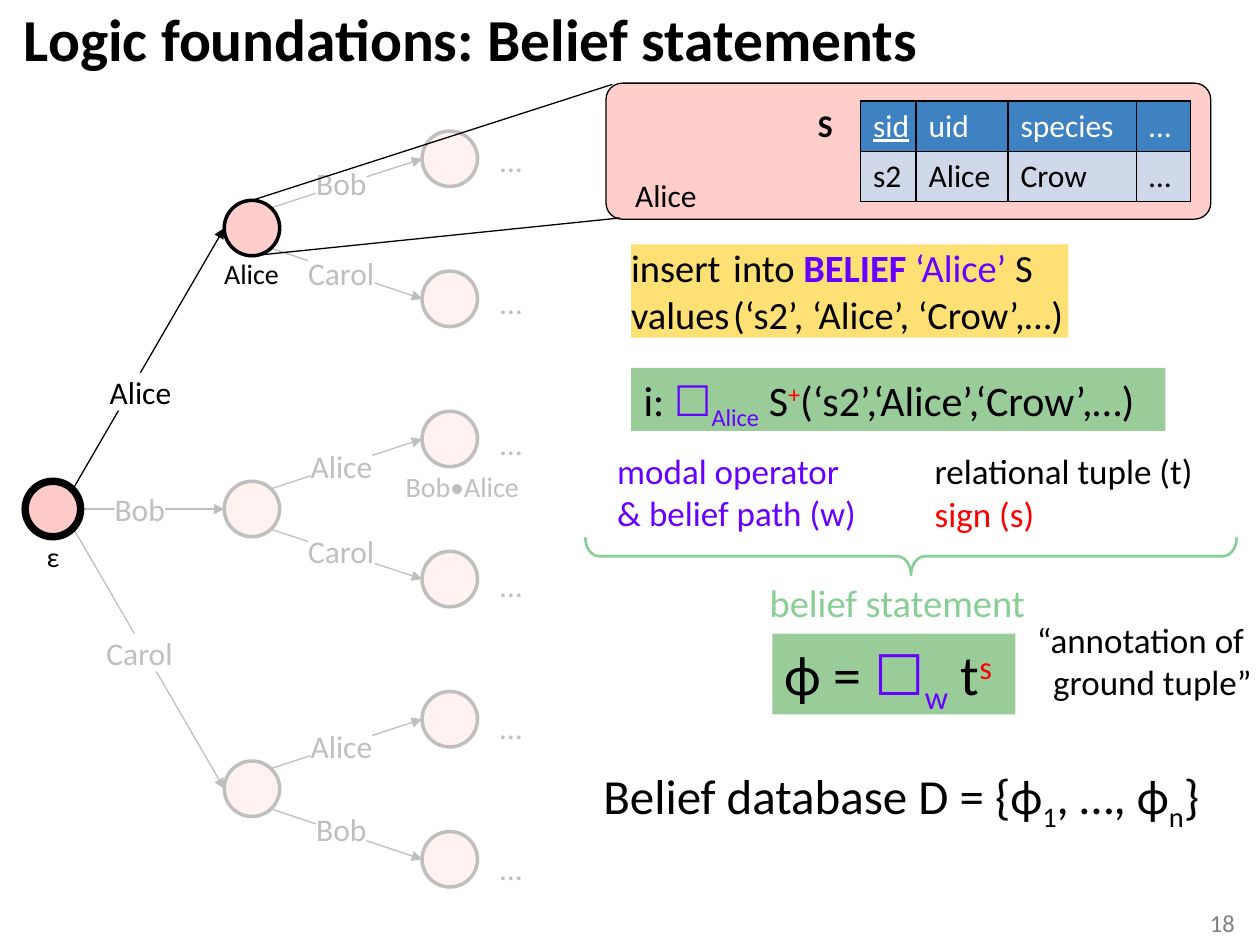
from lxml import etree
from pptx import Presentation
from pptx.dml.color import RGBColor
from pptx.enum import shapes, text
from pptx.oxml import ns
from pptx.util import Inches, Pt

HUES = {
    "black": "000000", "white": "FFFFFF", "gray": "7F7F7F", "pink": "FFCDCA",
    "root": "FFCBC9", "gold": "FFE074", "green": "99CC99", "mint": "88CF95",
    "violet": "6600FF", "red": "FF0000", "head": "3F82C1", "body": "CED8E9",
}
FORM = shapes.MSO_SHAPE
NONE = (0, 0, 0, 0)
LEAD = (0.1, 0.05, 0, 0)
FULL = (0.1, 0.05, 0.1, 0.05)


def hue(name):
    return RGBColor.from_string(HUES[name])


def sub(node, tag, **attrs):
    return etree.SubElement(node, ns.qn(tag), attrs)


class Deck:
    """Holds the style and the current slide."""

    def __init__(self, slide, face="Calibri"):
        self.items = slide.shapes
        self.face = face

    def words(self, frame, lines, size, color="black", bold=False, tab=None):
        """Each line is a string or a list of (words, options) runs."""
        for i, line in enumerate(lines):
            para = frame.paragraphs[0] if i == 0 else frame.add_paragraph()
            para.alignment = text.PP_ALIGN.LEFT
            font = para.font
            font.name, font.size, font.bold = self.face, Pt(size), bold
            font.color.rgb = hue(color)
            if tab:
                stops = etree.Element(ns.qn("a:tabLst"))
                sub(stops, "a:tab", pos=str(Inches(tab)), algn="l")
                font._element.addprevious(stops)
            for part, opts in [(line, {})] if isinstance(line, str) else line:
                run = para.add_run()
                run.text = part
                if "color" in opts:
                    run.font.color.rgb = hue(opts["color"])
                if "bold" in opts:
                    run.font.bold = opts["bold"]
                if "line" in opts:
                    run.font.underline = opts["line"]
                if "base" in opts:
                    run.font._element.set("baseline", str(opts["base"] * 1000))

    def label(self, x, y, w, h, lines, size, fill=None, pad=NONE, **style):
        box = self.items.add_textbox(*map(Inches, (x, y, w, h)))
        if fill:
            box.fill.solid()
            box.fill.fore_color.rgb = hue(fill)
        frame = box.text_frame
        frame.word_wrap = False
        frame.auto_size = text.MSO_AUTO_SIZE.SHAPE_TO_FIT_TEXT
        (frame.margin_left, frame.margin_top,
         frame.margin_right, frame.margin_bottom) = map(Inches, pad)
        self.words(frame, lines, size, **style)
        return box

    def shape(self, form, x, y, w, h, fill, line=None, width=0.75, adj=()):
        item = self.items.add_shape(form, *map(Inches, (x, y, w, h)))
        item.shadow.inherit = False
        item.fill.solid()
        item.fill.fore_color.rgb = hue(fill)
        if line:
            item.line.color.rgb = hue(line)
            item.line.width = Pt(width)
        else:
            item.line.fill.background()
        for i, value in enumerate(adj):
            item.adjustments[i] = value
        return item

    def node(self, x, y, fill="pink", width=2):
        self.shape(FORM.OVAL, x, y, 0.44, 0.44, fill, "black", width)

    def line(self, x, y, to_x, to_y, arrow=True):
        link = self.items.add_connector(
            shapes.MSO_CONNECTOR.STRAIGHT, *map(Inches, (x, y, to_x, to_y)))
        link.line.color.rgb = hue("black")
        link.line.width = Pt(0.75)
        if arrow:
            sub(link.line._get_or_add_ln(), "a:tailEnd", type="triangle")
        sub(link._element.spPr, "a:effectLst")

    def table(self, x, y, cols, high, rows):
        item = self.items.add_table(
            len(rows), len(cols), Inches(x), Inches(y),
            Inches(sum(cols)), Inches(high * len(rows)))
        grid = item.table
        grid.first_row = grid.horz_banding = False
        for col, w in zip(grid.columns, cols):
            col.width = Inches(w)
        for r, row in enumerate(rows):
            grid.rows[r].height = Inches(high)
            for c, entry in enumerate(row):
                self.cell(grid.cell(r, c), entry, r == 0, c == 0)

    def cell(self, cell, entry, head, side):
        cell.vertical_anchor = text.MSO_ANCHOR.BOTTOM
        cell.margin_left, cell.margin_right = Inches(0.1), 0
        cell.margin_top = cell.margin_bottom = Inches(0.05)
        # Only the right edge shows in the side column
        props = cell._tc.get_or_add_tcPr()
        for edge in "LRTB":
            rule = sub(props, "a:ln" + edge, w=str(Pt(1)))
            if side and edge != "R":
                sub(rule, "a:noFill")
            else:
                sub(sub(rule, "a:solidFill"), "a:srgbClr", val=HUES["black"])
        if side:
            cell.fill.background()
        else:
            cell.fill.solid()
            cell.fill.fore_color.rgb = hue("head" if head else "body")
        color = "white" if head and not side else "black"
        self.words(cell.text_frame, [entry], 18, color, bold=side)


def tree(deck):
    # Faded part: root edges, inner nodes and leaves
    deck.label(3.22, 3.73, 0.9, 0.27, ["Bob•Alice"], 16)
    wide = {"Alice": 0.49, "Bob": 0.4, "Carol": 0.53}
    tops = [1.59, 3.82, 6.04]
    deck.line(0.64, 4.04, 1.78, 4.04)
    deck.line(0.58, 4.19, 1.78, 6.26)
    for top in tops[1:]:
        deck.node(1.78, top)
    leaves = [("Bob", 1.3), ("Carol", 2.02), ("Alice", 3.55),
              ("Carol", 4.22), ("Alice", 5.77), ("Bob", 6.43)]
    for i, (name, y) in enumerate(leaves):
        leaf = 1.04 + 5.56 / 5 * i
        deck.line(2.15, tops[i // 2] + (0.38 if i % 2 else 0.06),
                  3.35, leaf + 0.22)
        deck.node(3.35, leaf)
        w = wide[name]
        deck.label(2.71 - w / 2, y, w, 0.3, [name], 18, "white")
        deck.label(3.97, 1.12 + 5.62 / 5 * i, 0.17, 0.3, ["…"], 18, "white")
    for name, y in [("Bob", 3.89), ("Carol", 5.03)]:
        w = wide[name]
        deck.label(1.11 - w / 2, y, w, 0.3, [name], 18, "white")

    # Veil
    veil = deck.shape(FORM.RECTANGLE, 0, 0.72, 4.36, 6.45, "white")
    tint = veil._element.spPr.find(".//" + ns.qn("a:srgbClr"))
    sub(tint, "a:alpha", val="75000")

    # Highlighted path
    deck.node(0.2, 3.82, "root", 4.25)
    deck.line(0.58, 3.88, 1.78, 1.81)
    deck.node(1.78, tops[0])
    deck.label(0.87, 2.96, 0.49, 0.3, ["Alice"], 18, "white")
    deck.label(0.37, 4.28, 0.1, 0.27, ["ε"], 16)
    deck.label(1.78, 2.04, 0.44, 0.27, ["Alice"], 16)


def world(deck):
    # Callout with the table of Alice's beliefs
    deck.shape(FORM.ROUNDED_RECTANGLE, 4.81, 0.66, 4.8, 1.08,
               "pink", "black", adj=[0.12])
    deck.label(5.04, 1.4, 0.49, 0.3, ["Alice"], 18)
    deck.table(6.39, 0.8, [0.44, 0.44, 0.73, 1.02, 0.43], 0.4, [
        ["S", [("sid", {"line": True})], "uid", "species", "…"],
        ["", "s2", "Alice", "Crow", "…"]])
    deck.line(2, 1.59, 4.86, 0.67, arrow=False)
    deck.line(2, 2.03, 4.92, 1.73, arrow=False)


def logic(deck):
    violet, red = {"color": "violet"}, {"color": "red", "base": 30}
    low = {"base": -25}
    # Statement and formula
    deck.label(5.01, 1.94, 3.47, 0.74, [
        [("insert\tinto ", {}), ("BELIEF ", {**violet, "bold": True}),
         ("‘Alice’ ", violet), ("S", {})],
        "values\t(‘s2’, ‘Alice’, ‘Crow’,…)"], 22, "gold", tab=0.81)
    deck.label(5.01, 2.92, 4.24, 0.5, [
        [("i: ", {}), ("☐", violet), ("Alice", {**violet, **low}),
         (" S", {}), ("+", red), ("(‘s2’,‘Alice’,‘Crow’,…)", {})]],
        24, "green", FULL)
    # Parts of the formula
    deck.label(6.01, 4.55, 2.15, 0.42, ["belief statement"], 22, "white",
               LEAD, color="mint")
    deck.label(6.13, 5.03, 1.93, 0.64, [
        [("ϕ = ", {}), ("☐", violet), ("w", {**violet, **low}),
         (" t", {}), ("s", red)]], 32, "green", FULL)
    deck.label(7.32, 3.52, 2.17, 0.39, ["relational tuple (t)"], 20,
               "white", LEAD)
    deck.label(7.32, 3.86, 0.9, 0.39, ["sign (s)"], 20, "white", LEAD,
               color="red")
    deck.label(4.8, 3.52, 2.01, 0.72, ["modal operator", "& belief path (w)"],
               20, "white", LEAD, color="violet")
    brace = deck.shape(FORM.RIGHT_BRACE, 7.08, 1.83, 0.3, 5.17, "white",
                       "mint", 1.5, adj=[0.36, 0.5])
    brace.rotation = 90
    # Database
    deck.label(4.69, 6.03, 4.88, 0.52, [
        [("Belief database D = {ϕ", {}), ("1", low), (", …, ϕ", {}),
         ("n", low), ("}", {})]], 28, "white", LEAD)
    note = deck.label(8.13, 4.86, 1.82, 0.72,
                      ["“annotation of", "ground tuple”"], 20, "white", LEAD)
    last = note.text_frame.paragraphs[1]._p.get_or_add_pPr()
    last.set("marL", str(Inches(0.13)))


def main():
    show = Presentation()
    show.slide_width, show.slide_height = Inches(10), Inches(7.5)
    deck = Deck(show.slides.add_slide(show.slide_layouts[6]))
    deck.label(0.19, 0.02, 7.22, 0.57,
               ["Logic foundations: Belief statements"], 34, bold=True)
    page = deck.label(9.57, 7.21, 0.23, 0.24, ["18"], 14, color="gray")
    page.text_frame.paragraphs[0].alignment = text.PP_ALIGN.RIGHT
    tree(deck)
    logic(deck)
    world(deck)
    show.save("out.pptx")


if __name__ == "__main__":
    main()
